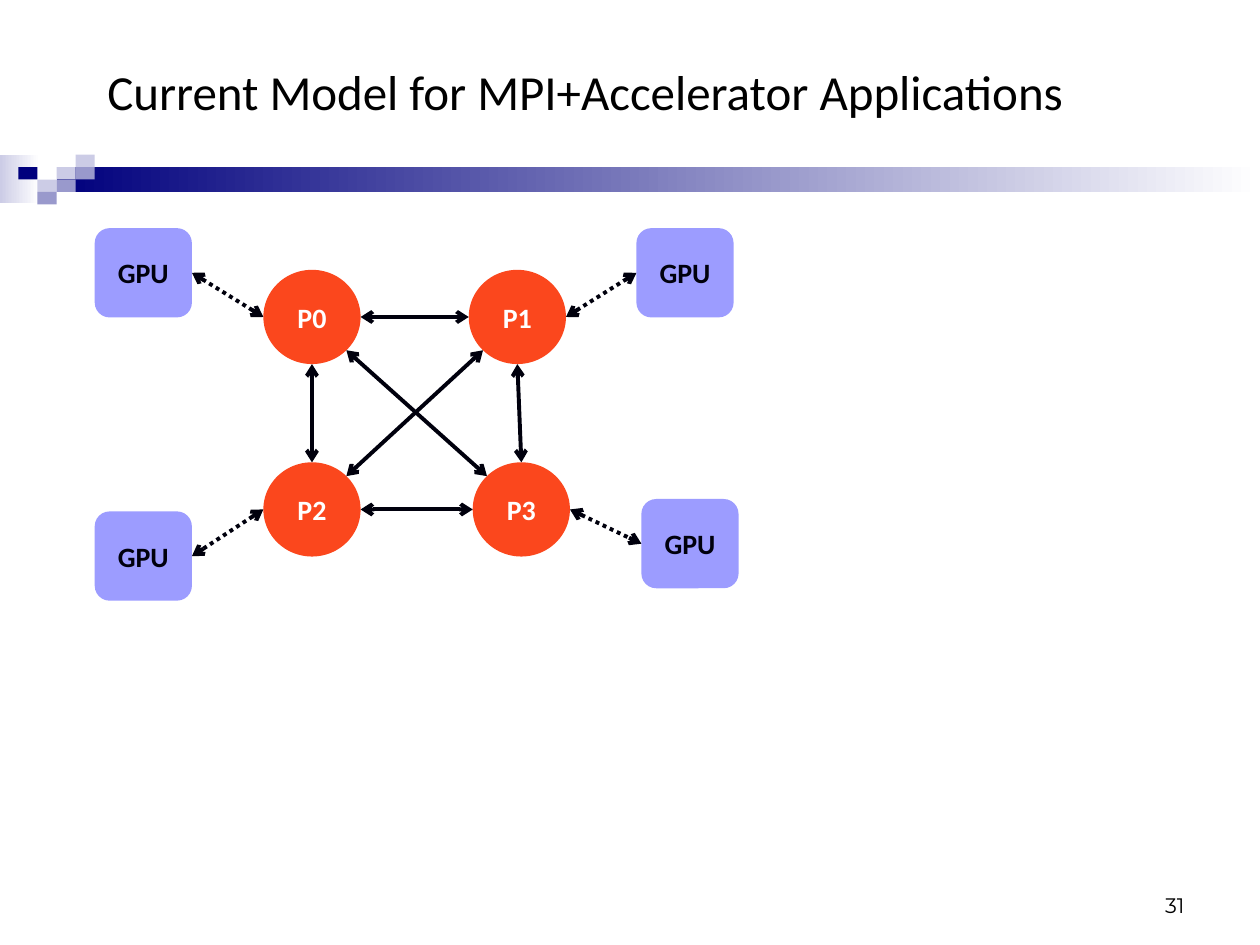
import math

import lxml.etree
import pptx
import pptx.dml.color
import pptx.enum.dml
import pptx.enum.shapes
import pptx.enum.text
import pptx.oxml.ns
import pptx.util

Cm = pptx.util.Cm
RGBColor = pptx.dml.color.RGBColor
SHAPE = pptx.enum.shapes.MSO_SHAPE
ALIGN = pptx.enum.text.PP_ALIGN
ANCHOR = pptx.enum.text.MSO_ANCHOR

NAVY = RGBColor(0x00, 0x00, 0x7D)
PALE = RGBColor(0xCC, 0xCC, 0xE6)
MIDDLE = RGBColor(0x99, 0x99, 0xCC)
WHITE = RGBColor(0xFF, 0xFF, 0xFF)
BLACK = RGBColor(0x00, 0x00, 0x00)
INK = RGBColor(0x00, 0x00, 0x0D)
LILAC = RGBColor(0x9C, 0x9C, 0xFF)
ORANGE = RGBColor(0xFB, 0x47, 0x1D)

CELL_WIDTH, CELL_HEIGHT = 0.385, 0.25
CELLS = [(2, 1, PALE), (3, 0, PALE), (3, 1, MIDDLE), (1, 2, PALE),
         (0, 1, NAVY), (2, 2, MIDDLE), (1, 3, MIDDLE)]
PROCESSES = {"P0": (5.31, 5.44), "P1": (9.45, 5.44),
             "P2": (5.31, 9.32), "P3": (9.53, 9.32)}
GPUS = {"P0": (1.91, 4.6), "P1": (12.83, 4.6),
        "P2": (1.91, 10.31), "P3": (12.93, 10.06)}
LINKS = [("P0", 90, "P2", 270), ("P1", 90, "P3", 270), ("P2", 0, "P3", 180),
         ("P0", 0, "P1", 180), ("P2", 315, "P1", 135), ("P3", 225, "P0", 45)]


def add_text(frame, text, font, size, color, align, anchor, bold=False):
    """Write one formatted run into a text frame."""
    frame.word_wrap = True
    frame.vertical_anchor = anchor
    paragraph = frame.paragraphs[0]
    paragraph.alignment = align
    run = paragraph.add_run()
    run.text = text
    run.font.name = font
    run.font.size = pptx.util.Pt(size)
    run.font.bold = bold
    run.font.color.rgb = color


def add_block(slide, kind, left, top, width, height, color, fade=False):
    """Add a borderless shape, solid or fading to white."""
    shape = slide.shapes.add_shape(kind, Cm(left), Cm(top), Cm(width), Cm(height))
    shape.shadow.inherit = False
    shape.line.fill.background()
    if fade:
        shape.fill.gradient()
        shape.fill.gradient_angle = 0
        for stop, position, stop_color in zip(shape.fill.gradient_stops, (0, 1), (color, WHITE)):
            stop.position = position
            stop.color.rgb = stop_color
    else:
        shape.fill.solid()
        shape.fill.fore_color.rgb = color
    return shape


def add_node(slide, kind, position, height, fill, text, color):
    """Add a labelled node of the diagram."""
    shape = add_block(slide, kind, *position, 1.96, height, fill)
    add_text(shape.text_frame, text, "Calibri", 16, color, ALIGN.CENTER, ANCHOR.MIDDLE, True)
    return shape


def rim_point(circle, angle):
    """Return the point of a circle at a clockwise angle from its right side."""
    radians = math.radians(angle)
    return (round(circle.left + circle.width / 2 * (1 + math.cos(radians))),
            round(circle.top + circle.height / 2 * (1 + math.sin(radians))))


def add_arrow(slide, start, end, dotted=False):
    """Add a straight line with an arrowhead at both ends."""
    connector = slide.shapes.add_connector(
        pptx.enum.shapes.MSO_CONNECTOR.STRAIGHT, *start, *end)
    connector.line.color.rgb = INK
    connector.line.width = pptx.util.Pt(2.25)
    if dotted:
        connector.line.dash_style = pptx.enum.dml.MSO_LINE.ROUND_DOT
    properties = connector._element.spPr
    line = properties.find(pptx.oxml.ns.qn("a:ln"))
    for tag in ("a:headEnd", "a:tailEnd"):
        lxml.etree.SubElement(line, pptx.oxml.ns.qn(tag), type="arrow")
    lxml.etree.SubElement(properties, pptx.oxml.ns.qn("a:effectLst"))
    return connector


def add_banner(slide):
    """Draw the fading bar and its mosaic of small cells."""
    left, top = 0.37, 3.12
    add_block(slide, SHAPE.RECTANGLE, 0, top, 0.79, 0.97, PALE, True)
    add_block(slide, SHAPE.RECTANGLE, 1.14, 3.37, 24.26, 0.51, NAVY, True)
    for column, row, color in CELLS:
        add_block(slide, SHAPE.RECTANGLE, left + column * CELL_WIDTH,
                  top + row * CELL_HEIGHT, CELL_WIDTH, CELL_HEIGHT, color)


def add_title(slide, text):
    """Place and fill the title placeholder."""
    title = slide.shapes.title
    title.left, title.top, title.width, title.height = Cm(1.91), Cm(0.71), Cm(21.39), Cm(2.26)
    add_text(title.text_frame, text, "Calibri", 28, BLACK, ALIGN.LEFT, ANCHOR.MIDDLE)


def add_page_number(slide, text):
    """Add the page number at the lower right."""
    box = slide.shapes.add_textbox(Cm(18.21), Cm(17.35), Cm(5.92), Cm(1.27))
    add_text(box.text_frame, text, "Montserrat", 12, BLACK, ALIGN.RIGHT, ANCHOR.BOTTOM)


def add_diagram(slide):
    """Draw the processes, their GPUs and the arrows between them."""
    circles = {name: add_node(slide, SHAPE.OVAL, position, 1.9, ORANGE, name, WHITE)
               for name, position in PROCESSES.items()}
    for name, position in GPUS.items():
        gpu = add_node(slide, SHAPE.ROUNDED_RECTANGLE, position, 1.8, LILAC, "GPU", INK)
        circle = circles[name]
        angle, side = (180, 3) if gpu.left < circle.left else (0, 1)
        start = rim_point(circle, angle)
        add_arrow(slide, start, start, True).end_connect(gpu, side)
    for first, first_angle, second, second_angle in LINKS:
        add_arrow(slide, rim_point(circles[first], first_angle),
                  rim_point(circles[second], second_angle))


def main():
    """Build the slide and save it."""
    presentation = pptx.Presentation()
    presentation.slide_width, presentation.slide_height = Cm(25.4), Cm(19.05)
    slide = presentation.slides.add_slide(presentation.slide_layouts[5])
    add_banner(slide)
    add_title(slide, "Current Model for MPI+Accelerator Applications")
    add_page_number(slide, "31")
    add_diagram(slide)
    presentation.save("out.pptx")


if __name__ == "__main__":
    main()
